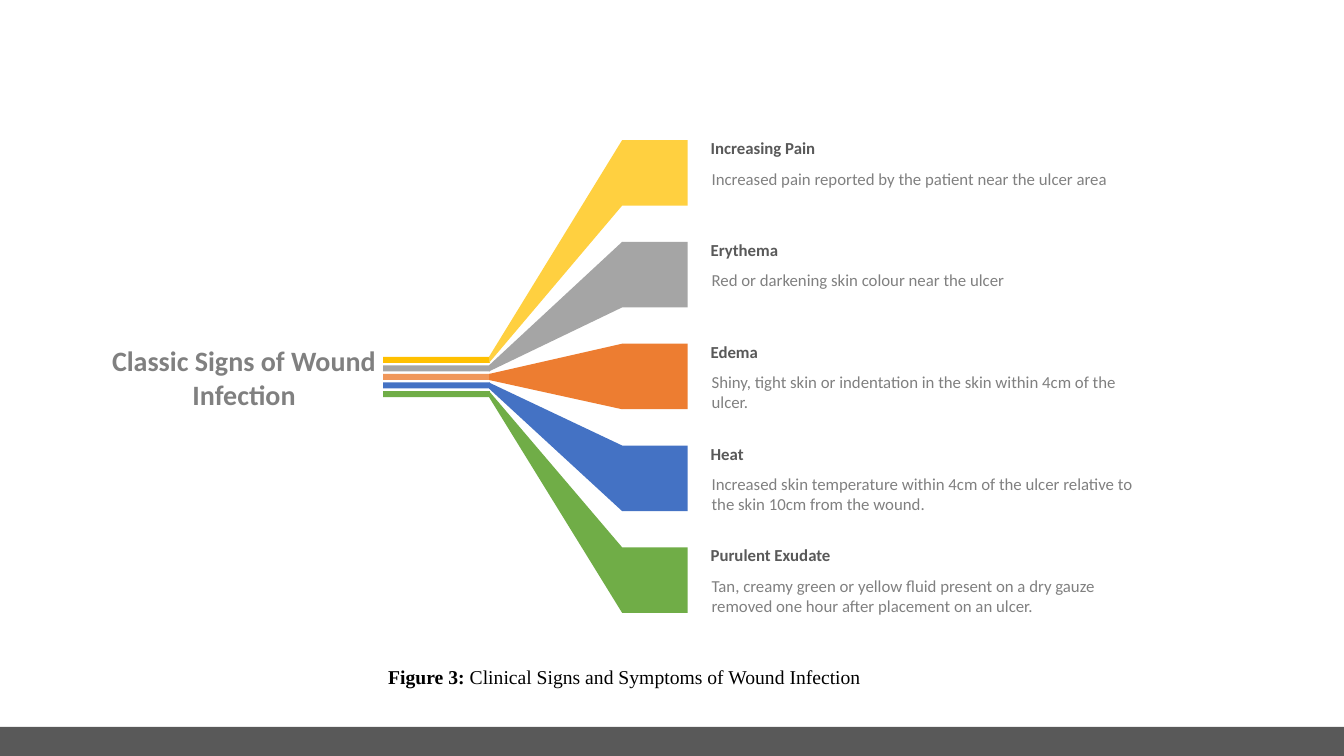
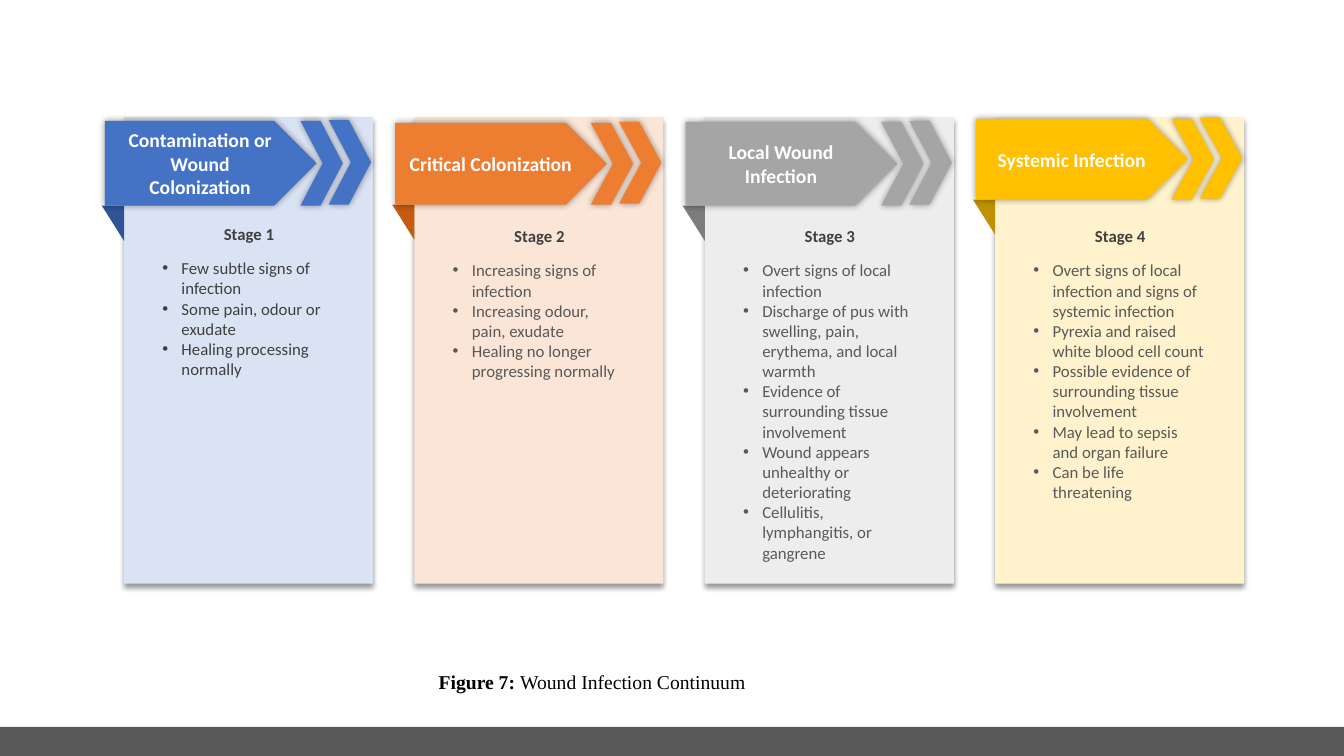
from dataclasses import dataclass

from lxml import etree
from pptx import Presentation
from pptx.dml.color import RGBColor
from pptx.enum.shapes import MSO_SHAPE
from pptx.enum.text import MSO_ANCHOR, MSO_AUTO_SIZE, PP_ALIGN
from pptx.oxml.ns import qn
from pptx.util import Emu, Inches, Pt

RECTANGLE = MSO_SHAPE.RECTANGLE
PENTAGON = MSO_SHAPE.PENTAGON
CHEVRON = MSO_SHAPE.CHEVRON
TRIANGLE = MSO_SHAPE.RIGHT_TRIANGLE
LEFT, CENTER = PP_ALIGN.LEFT, PP_ALIGN.CENTER
TOP, MIDDLE = MSO_ANCHOR.TOP, MSO_ANCHOR.MIDDLE
NO_AUTOFIT = MSO_AUTO_SIZE.NONE

# Shared look
SLIDE_WIDTH, SLIDE_HEIGHT = 13.33, 7.5
BAND_HEIGHT = 0.29
BODY_FONT, CAPTION_FONT = "Calibri", "Times New Roman"
BLACK, WHITE = "000000", "FFFFFF"
CHARCOAL, DARK_GRAY, MID_GRAY = "404040", "595959", "808080"
BLUE, ORANGE, SILVER, GOLD, GREEN = "4472C4", "ED7D31", "A5A5A5", "FFC000", "70AD47"
SOFT_GOLD = "FFD040"
LAYOUT_COMPARISON, LAYOUT_TITLE_ONLY = 4, 5
LINE_HEIGHT = 0.3

# Fan of signs: rows share one pitch
TILE_LEFT, TILE_TOP, TILE_SIZE, TILE_PITCH = 6.17, 1.39, 0.65, 1.01
STRIPE_LEFT, STRIPE_TOP, STRIPE_WIDTH, STRIPE_HEIGHT = 3.8, 3.54, 1.06, 0.06
STRIPE_PITCH = 0.34 / 4
FAN_LEFT = 4.85

# Stage columns
PANEL_LEFT, PANEL_TOP, PANEL_PITCH = 1.23, 1.16, 2.88
PANEL_WIDTH, PANEL_HEIGHT = 2.47, 4.63
FOLD_WIDTH, FOLD_HEIGHT = 0.22, 0.35
CHEVRON_OFFSETS = (1.75, 2.03)
CHEVRON_POINT = 0.524
LIST_INDENT = 0.19


@dataclass(frozen=True)
class Box:
    left: float
    top: float
    width: float
    height: float

    def emu(self) -> tuple[Emu, Emu, Emu, Emu]:
        return (Inches(self.left), Inches(self.top),
                Inches(self.width), Inches(self.height))


@dataclass(frozen=True)
class Shadow:
    blur: float
    distance: float
    direction: int
    opacity: int = 40


@dataclass(frozen=True)
class Sign:
    name: str
    detail: str
    color: str
    stripe_color: str
    stripe_opacity: int = 100


@dataclass(frozen=True)
class Stage:
    heading: str
    points: tuple[str, ...]
    color: str
    panel_color: str
    fold_color: str
    arrow_top: float
    arrow_height: float
    label_top: float = 2.19
    text_color: str = DARK_GRAY
    heading_inset: float = 0.1


PANEL_SHADOW = Shadow(4, 3, 90)
ARROW_SHADOW = Shadow(5, 0, 0)

SIGNS = (
    Sign("Increasing Pain",
         "Increased pain reported by the patient near the ulcer area",
         SOFT_GOLD, GOLD),
    Sign("Erythema", "Red or darkening skin colour near the ulcer", SILVER, SILVER),
    Sign("Edema",
         "Shiny, tight skin or indentation in the skin within 4cm of the ulcer.",
         ORANGE, ORANGE, 80),
    Sign("Heat",
         "Increased skin temperature within 4cm of the ulcer relative to the skin "
         "10cm from the wound.", BLUE, BLUE),
    Sign("Purulent Exudate",
         "Tan, creamy green or yellow fluid present on a dry gauze removed one hour "
         "after placement on an ulcer.", GREEN, GREEN),
)

STAGES = (
    Stage("Contamination or Wound Colonization",
          ("Few subtle signs of infection", "Some pain, odour or exudate",
           "Healing processing normally"),
          BLUE, "DAE3F3", "2F5597", 1.2, 0.84, 2.17, CHARCOAL, 0.18),
    Stage("Critical Colonization",
          ("Increasing signs of infection", "Increasing odour, pain, exudate",
           "Healing no longer progressing normally"),
          ORANGE, "FBE5D6", "C55A11", 1.22, 0.81),
    Stage("Local Wound Infection",
          ("Overt signs of local infection",
           "Discharge of pus with swelling, pain, erythema, and local warmth",
           "Evidence of surrounding tissue involvement",
           "Wound appears unhealthy or deteriorating",
           "Cellulitis, lymphangitis, or gangrene"),
          SILVER, "EDEDED", "7C7C7C", 1.21, 0.83),
    Stage("Systemic Infection",
          ("Overt signs of local infection and signs of systemic infection",
           "Pyrexia and raised white blood cell count",
           "Possible evidence of surrounding tissue involvement",
           "May lead to sepsis and organ failure", "Can be life threatening"),
          GOLD, "FFF2CC", "BF9000", 1.18, 0.8),
)


# Formatting helpers
def rgb(color: str) -> RGBColor:
    return RGBColor.from_string(color)


def paint(shape, color: str, opacity: int = 100, shadow: Shadow | None = None) -> None:
    shape.fill.solid()
    shape.fill.fore_color.rgb = rgb(color)
    shape.line.fill.background()
    shape.shadow.inherit = False
    properties = shape.element.spPr
    if opacity < 100:
        fill_color = properties.find(qn("a:solidFill")).find(qn("a:srgbClr"))
        etree.SubElement(fill_color, qn("a:alpha"), val=str(opacity * 1000))
    if shadow:
        outer = etree.SubElement(
            properties.find(qn("a:effectLst")), qn("a:outerShdw"),
            blurRad=str(Pt(shadow.blur)), dist=str(Pt(shadow.distance)),
            dir=str(shadow.direction * 60000), algn="t", rotWithShape="0")
        shadow_color = etree.SubElement(outer, qn("a:srgbClr"), val=BLACK)
        etree.SubElement(shadow_color, qn("a:alpha"), val=str(shadow.opacity * 1000))


def style_run(run, size: float, color: str, bold: bool, font: str = BODY_FONT) -> None:
    run.font.name = font
    run.font.size = Pt(size)
    run.font.bold = bold
    run.font.color.rgb = rgb(color)


def write(shape, lines: tuple[str, ...], size: float, color: str, bold: bool = False,
          align=LEFT, anchor=TOP) -> None:
    frame = shape.text_frame
    frame.word_wrap = True
    frame.auto_size = NO_AUTOFIT
    frame.vertical_anchor = anchor
    frame.text = "\n".join(lines)
    for paragraph in frame.paragraphs:
        paragraph.alignment = align
        paragraph.line_spacing = 1.0
        paragraph.space_before = paragraph.space_after = Pt(0)
        for run in paragraph.runs:
            style_run(run, size, color, bold)


def add_bullets(shape) -> None:
    for paragraph in shape.text_frame.paragraphs:
        properties = paragraph._p.get_or_add_pPr()
        properties.set("marL", str(Inches(LIST_INDENT)))
        properties.set("indent", str(-Inches(LIST_INDENT)))
        etree.SubElement(properties, qn("a:buFont"), typeface="Arial")
        etree.SubElement(properties, qn("a:buChar"), char="•")


# Drawing helpers
def place(shape, box: Box) -> None:
    shape.left, shape.top, shape.width, shape.height = box.emu()


def add_block(slide, kind, box: Box, color: str, opacity: int = 100,
              shadow: Shadow | None = None):
    shape = slide.shapes.add_shape(kind, *box.emu())
    paint(shape, color, opacity, shadow)
    return shape


def add_text(slide, box: Box, text: str, size: float, color: str,
             bold: bool = False, align=LEFT) -> None:
    write(slide.shapes.add_textbox(*box.emu()), (text,), size, color, bold, align)


def set_caption(slide, box: Box, label: str, text: str) -> None:
    title = slide.shapes.title
    place(title, box)
    frame = title.text_frame
    frame.word_wrap = False
    frame.auto_size = NO_AUTOFIT
    frame.vertical_anchor = TOP
    paragraph = frame.paragraphs[0]
    paragraph.alignment = LEFT
    for content, bold in ((label, True), (text, False)):
        run = paragraph.add_run()
        run.text = content
        style_run(run, 14, BLACK, bold, CAPTION_FONT)


def add_master_band(presentation, slide) -> None:
    """Draw the footer band and move it to the master, so every slide shows it."""
    box = Box(0, SLIDE_HEIGHT - BAND_HEIGHT, SLIDE_WIDTH, BAND_HEIGHT)
    band = add_block(slide, RECTANGLE, box, DARK_GRAY)
    presentation.slide_master.shapes.element.append(band.element)


# Slide 1: signs
def add_sign(slide, row: int, sign: Sign) -> None:
    tile_top = TILE_TOP + row * TILE_PITCH
    tile_bottom = tile_top + TILE_SIZE
    stripe_top = STRIPE_TOP + row * STRIPE_PITCH
    add_block(slide, RECTANGLE, Box(TILE_LEFT, tile_top, TILE_SIZE, TILE_SIZE), sign.color)
    add_block(slide, RECTANGLE, Box(STRIPE_LEFT, stripe_top, STRIPE_WIDTH, STRIPE_HEIGHT),
              sign.stripe_color, sign.stripe_opacity)
    outline = slide.shapes.build_freeform(Inches(FAN_LEFT), Inches(stripe_top))
    corners = ((TILE_LEFT, tile_top), (TILE_LEFT, tile_bottom),
               (FAN_LEFT, stripe_top + STRIPE_HEIGHT))
    outline.add_line_segments([(Inches(x), Inches(y)) for x, y in corners], close=True)
    paint(outline.convert_to_shape(), sign.color)
    add_text(slide, Box(6.95, tile_top - 0.07, 4.4, LINE_HEIGHT), sign.name,
             12, DARK_GRAY, bold=True)
    add_text(slide, Box(6.96, tile_top + 0.23, 4.44, 0.5), sign.detail, 12, MID_GRAY)


def build_signs(slide) -> None:
    for row, sign in enumerate(SIGNS):
        add_sign(slide, row, sign)
    add_text(slide, Box(0.78, 3.36, 3.28, 0.77), "Classic Signs of Wound Infection",
             20, MID_GRAY, bold=True, align=CENTER)
    set_caption(slide, Box(3.75, 6.55, 4.97, 0.34), "Figure 3: ",
                "Clinical Signs and Symptoms of Wound Infection")


# Slide 2: stages
def add_stage(slide, column: int, stage: Stage, body) -> None:
    left = PANEL_LEFT + column * PANEL_PITCH
    top, height = stage.arrow_top, stage.arrow_height
    add_block(slide, RECTANGLE, Box(left, PANEL_TOP, PANEL_WIDTH, PANEL_HEIGHT),
              stage.panel_color, shadow=PANEL_SHADOW)
    fold = add_block(slide, TRIANGLE,
                     Box(left - FOLD_WIDTH, top + height, FOLD_WIDTH, FOLD_HEIGHT),
                     stage.fold_color)
    fold.rotation = 180
    arrow = add_block(slide, PENTAGON, Box(left - 0.19, top, 2.1, height),
                      stage.color, shadow=ARROW_SHADOW)
    write(arrow, (stage.heading,), 14, WHITE, True, CENTER, MIDDLE)
    arrow.text_frame.margin_left = Inches(stage.heading_inset)
    arrow.text_frame.margin_right = Inches(stage.heading_inset)
    for step, offset in enumerate(CHEVRON_OFFSETS):
        chevron = add_block(slide, CHEVRON,
                            Box(left + offset, top - step * 0.01, 0.42, height),
                            stage.color, shadow=ARROW_SHADOW)
        chevron.adjustments[0] = CHEVRON_POINT
    text_left, text_width = left + 0.28, 1.92
    add_text(slide, Box(text_left, stage.label_top, text_width, LINE_HEIGHT),
             f"Stage {column + 1}", 12, CHARCOAL, bold=True, align=CENTER)
    place(body, Box(text_left, stage.label_top + 0.34, text_width, 3.13))
    write(body, stage.points, 12, stage.text_color)
    add_bullets(body)
    slide.shapes.element.append(body.element)  # in front of its panel


def build_stages(slide) -> None:
    title = slide.shapes.title
    bodies = [holder for holder in slide.placeholders
              if holder.shape_id != title.shape_id]
    for column, (stage, body) in enumerate(zip(STAGES, bodies)):
        add_stage(slide, column, stage, body)
    set_caption(slide, Box(4.25, 6.6, 3.32, 0.34), "Figure 7: ",
                "Wound Infection Continuum")


def main() -> None:
    presentation = Presentation()
    presentation.slide_width = Inches(SLIDE_WIDTH)
    presentation.slide_height = Inches(SLIDE_HEIGHT)
    layouts = presentation.slide_layouts
    signs_slide = presentation.slides.add_slide(layouts[LAYOUT_TITLE_ONLY])
    add_master_band(presentation, signs_slide)
    build_signs(signs_slide)
    build_stages(presentation.slides.add_slide(layouts[LAYOUT_COMPARISON]))
    presentation.save("out.pptx")


if __name__ == "__main__":
    main()
